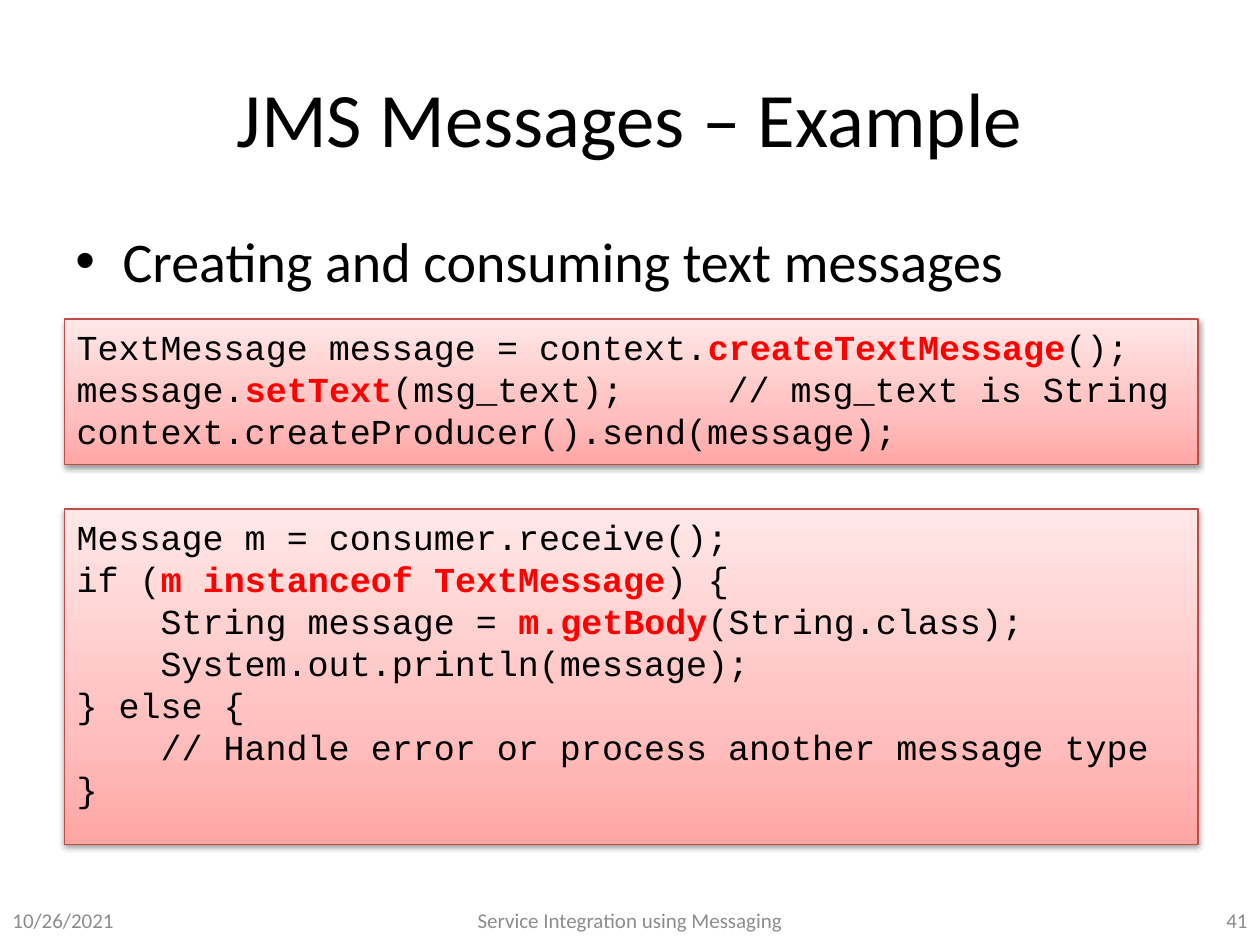
from lxml import etree
from pptx import Presentation
from pptx.dml.color import RGBColor
from pptx.enum.shapes import MSO_SHAPE
from pptx.enum.text import MSO_ANCHOR, PP_ALIGN
from pptx.oxml.ns import qn
from pptx.util import Pt

RECTANGLE = MSO_SHAPE.RECTANGLE
TOP, MIDDLE = MSO_ANCHOR.TOP, MSO_ANCHOR.MIDDLE
LEFT, CENTER, RIGHT = PP_ALIGN.LEFT, PP_ALIGN.CENTER, PP_ALIGN.RIGHT

BLACK = RGBColor(0x00, 0x00, 0x00)
RED = RGBColor(0xFF, 0x00, 0x00)
GRAY = RGBColor(0x8C, 0x8C, 0x8C)
BORDER = RGBColor(0xBF, 0x4C, 0x48)
ROSE = RGBColor(0xFF, 0xA6, 0xA5)
PINK = RGBColor(0xFF, 0xC0, 0xBF)
BLUSH = RGBColor(0xFF, 0xE7, 0xE7)

GRADIENT = [(0, ROSE), (35, PINK), (100, BLUSH)]
CODE_FONT = {"name": "Courier New", "size": Pt(20)}
CHARACTER = 12


def add_span(para, text, color, font_values):
    span = para.add_run()
    span.text = text
    for name, value in font_values.items():
        setattr(span.font, name, value)
    span.font.color.rgb = color


def add_element(parent, tag, **attributes):
    values = {name: str(value) for name, value in attributes.items()}
    return etree.SubElement(parent, qn(tag), values)


deck = Presentation()
deck.slide_width, deck.slide_height = Pt(720), Pt(540)
page = deck.slides.add_slide(deck.slide_layouts[6])

text_boxes = [
    ("JMS Messages – Example", (36, 21.6, 648, 90), 44, BLACK, CENTER, MIDDLE),
    ("Creating and consuming text messages", (36, 126, 648, 356.4), 32, BLACK, LEFT, TOP),
    ("10/26/2021", (0, 511.2, 168, 28.8), 12, GRAY, LEFT, MIDDLE),
    ("41", (552, 511.2, 168, 28.8), 12, GRAY, RIGHT, MIDDLE),
    ("Service Integration using Messaging", (246, 511.2, 228, 28.8), 12, GRAY, CENTER, MIDDLE),
]
for text, place, size, color, alignment, anchor in text_boxes:
    box = page.shapes.add_textbox(*map(Pt, place))
    frame = box.text_frame
    frame.word_wrap = True
    frame.vertical_anchor = anchor
    para = frame.paragraphs[0]
    para.alignment = alignment
    add_span(para, text, color, {"name": "Calibri", "size": Pt(size)})
    if size == 32:
        para.space_before = Pt(6.4)
        properties = para._p.get_or_add_pPr()
        properties.set("marL", str(Pt(27)))
        properties.set("indent", str(Pt(-27)))
        add_element(properties, "a:buFont", typeface="Arial")
        add_element(properties, "a:buChar", char="•")

sending_code = [
    (0, ["TextMessage message = context.", "createTextMessage", "();"]),
    (0, ["message.", "setText", "(msg_text);\t// msg_text is String"]),
    (0, ["context.createProducer().send(message);"]),
]
receiving_code = [
    (0, ["Message m = consumer.receive();"]),
    (0, ["if (", "m instanceof TextMessage", ") {"]),
    (4, ["String message = ", "m.getBody", "(String.class);"]),
    (4, ["System.out.println(message);"]),
    (0, ["} else {"]),
    (4, ["// Handle error or process another message type"]),
    (0, ["}"]),
]

for top, height, code in [(182.3, 83.3, sending_code), (290.8, 191.6, receiving_code)]:
    box = page.shapes.add_shape(RECTANGLE, Pt(36.7), Pt(top), Pt(648), Pt(height))
    box.fill.gradient()
    box.fill.gradient_angle = 90
    box.line.color.rgb = BORDER
    box.line.width = Pt(0.75)
    box.shadow.inherit = False

    stops = box._element.spPr.find(".//" + qn("a:gsLst"))
    for stop in list(stops):
        stops.remove(stop)
    for position, color in GRADIENT:
        stop = add_element(stops, "a:gs", pos=position * 1000)
        add_element(stop, "a:srgbClr", val=color)

    effects = box._element.spPr.find(qn("a:effectLst"))
    shadow = add_element(effects, "a:outerShdw", blurRad=Pt(3.1), dist=Pt(1.6),
                         dir=5400000, rotWithShape=0)
    shade = add_element(shadow, "a:srgbClr", val=BLACK)
    add_element(shade, "a:alpha", val=38000)

    frame = box.text_frame
    frame.word_wrap = True
    frame.vertical_anchor = TOP
    for index, (indent, parts) in enumerate(code):
        para = frame.add_paragraph() if index else frame.paragraphs[0]
        para.alignment = LEFT
        properties = para._p.get_or_add_pPr()
        properties.set("marL", str(Pt(indent * CHARACTER)))
        if "\t" in parts[-1]:
            tabs = add_element(properties, "a:tabLst")
            add_element(tabs, "a:tab", pos=Pt(31 * CHARACTER), algn="l")
        for order, part in enumerate(parts):
            strong = order == 1
            add_span(para, part, RED if strong else BLACK, {**CODE_FONT, "bold": strong})

deck.save("out.pptx")
